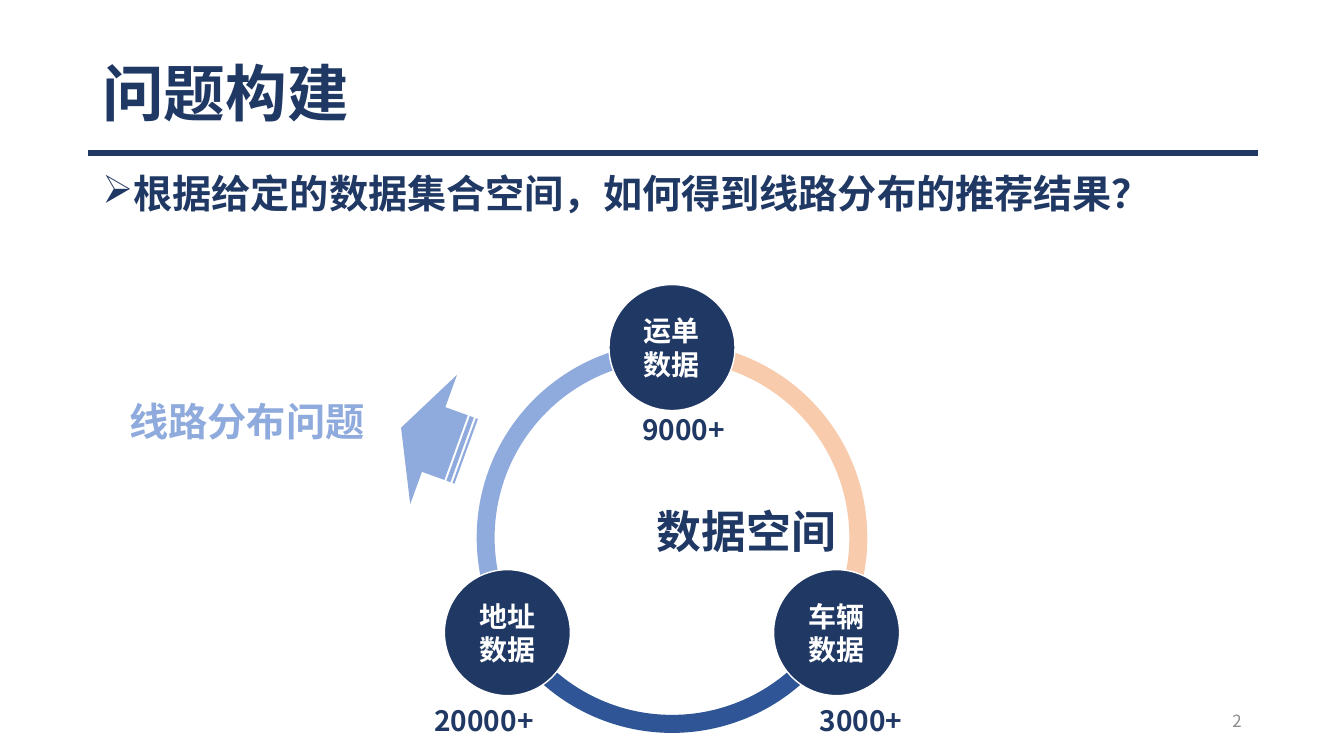
from dataclasses import dataclass
from math import cos, radians, sin

from lxml.etree import SubElement
from pptx import Presentation
from pptx.dml.color import RGBColor
from pptx.enum.shapes import MSO_CONNECTOR, MSO_SHAPE
from pptx.enum.text import MSO_ANCHOR, PP_ALIGN
from pptx.oxml.ns import qn
from pptx.util import Emu, Pt

EMU_PER_PX = 9525


def px(length):
    return Emu(round(length * EMU_PER_PX))


@dataclass(frozen=True)
class Theme:
    font: str = "Noto Sans CJK SC"
    navy: str = "203864"
    blue: str = "2F5597"
    light_blue: str = "8FAADC"
    peach: str = "F8CBAD"
    white: str = "FFFFFF"
    grey: str = "8C8C8C"
    title: int = 44
    center: int = 32
    heading: int = 28
    label: int = 20
    page: int = 12


class SlideBuilder:
    def __init__(self, slide, theme):
        self.slide = slide
        self.theme = theme

    def set_text(self, shape, text, size, color, align=PP_ALIGN.LEFT,
                 anchor=MSO_ANCHOR.TOP, bold=True, spacing=None, bullet=None):
        frame = shape.text_frame
        frame.text = text
        frame.word_wrap = True
        frame.vertical_anchor = anchor
        paragraph = frame.paragraphs[0]
        if bullet:
            properties = paragraph._p.get_or_add_pPr()
            properties.set("marL", str(px(24)))
            properties.set("indent", str(px(-24)))
            SubElement(properties, qn("a:buChar")).set("char", bullet)
        paragraph.alignment = align
        paragraph.line_spacing = spacing
        for run in paragraph.runs:
            run.font.name = self.theme.font
            run.font.size = Pt(size)
            run.font.bold = bold
            run.font.color.rgb = RGBColor.from_string(color)
            east_asian = SubElement(run._r.get_or_add_rPr(), qn("a:ea"))
            east_asian.set("typeface", self.theme.font)

    def text(self, left, top, width, height, text, size, color, **style):
        box = self.slide.shapes.add_textbox(px(left), px(top), px(width), px(height))
        self.set_text(box, text, size, color, **style)

    def shape(self, kind, left, top, width, height, fill, outline=None):
        shape = self.slide.shapes.add_shape(kind, px(left), px(top), px(width), px(height))
        shape.shadow.inherit = False
        shape.fill.solid()
        shape.fill.fore_color.rgb = RGBColor.from_string(fill)
        if outline:
            shape.line.color.rgb = RGBColor.from_string(outline)
            shape.line.width = Pt(1)
        else:
            shape.line.fill.background()
        return shape

    def rule(self, left, right, y, color, weight):
        line = self.slide.shapes.add_connector(
            MSO_CONNECTOR.STRAIGHT, px(left), px(y), px(right), px(y))
        line.line.color.rgb = RGBColor.from_string(color)
        line.line.width = Pt(weight)
        SubElement(line._element.spPr, qn("a:effectLst"))

    def arc(self, center_x, center_y, diameter, start, end, fill):
        arc = self.shape(MSO_SHAPE.BLOCK_ARC, center_x - diameter / 2,
                         center_y - diameter / 2, diameter, diameter, fill)
        arc.adjustments[0] = start * 0.6
        arc.adjustments[1] = end * 0.6
        arc.adjustments[2] = 0.046

    def node(self, center_x, center_y, diameter, text):
        node = self.shape(MSO_SHAPE.OVAL, center_x - diameter / 2,
                          center_y - diameter / 2, diameter, diameter,
                          self.theme.navy, self.theme.white)
        self.set_text(node, text, self.theme.label, self.theme.white,
                      align=PP_ALIGN.CENTER, anchor=MSO_ANCHOR.MIDDLE)

    def arrow(self, left, top, width, height, rotation, fill):
        arrow = self.shape(MSO_SHAPE.STRIPED_RIGHT_ARROW, left, top, width, height, fill)
        arrow.rotation = rotation


def main():
    presentation = Presentation()
    presentation.slide_width = px(1280)
    presentation.slide_height = px(720)
    slide = presentation.slides.add_slide(presentation.slide_layouts[6])
    theme = Theme()
    builder = SlideBuilder(slide, theme)

    builder.rule(84, 1198, 146, theme.navy, 4)
    builder.text(88, 38, 1104, 108, "问题构建", theme.title, theme.navy,
                 anchor=MSO_ANCHOR.MIDDLE, spacing=0.9)
    builder.text(88, 162, 1104, 486, "根据给定的数据集合空间，如何得到线路分布的推荐结果？",
                 theme.heading, theme.navy, spacing=0.9, bullet="➢")

    ring_x, ring_y, ring_radius = 640, 512, 181
    for start, fill in ((150, theme.light_blue), (30, theme.blue), (270, theme.peach)):
        builder.arc(ring_x, ring_y, 372, start, (start + 120) % 360, fill)
    for angle, name in ((270, "运单数据"), (30, "车辆数据"), (150, "地址数据")):
        builder.node(ring_x + ring_radius * cos(radians(angle)),
                     ring_y + ring_radius * sin(radians(angle)), 120, name)

    builder.text(609, 475, 204, 61, "数据空间", theme.center, theme.navy,
                 align=PP_ALIGN.CENTER)
    for left, top, width, count in ((542, 388, 218, "9000+"),
                                    (718, 665, 204, "3000+"),
                                    (359, 665, 204, "20000+")):
        builder.text(left, top, width, 42, count, theme.label, theme.navy,
                     align=PP_ALIGN.CENTER)

    builder.arrow(380, 353, 66, 131, 199.9, theme.light_blue)
    builder.text(114, 374, 245, 55, "线路分布问题", theme.heading, theme.light_blue)
    builder.text(904, 667, 288, 38, "2", theme.page, theme.grey, align=PP_ALIGN.RIGHT,
                 anchor=MSO_ANCHOR.MIDDLE, bold=False)

    presentation.save("out.pptx")


if __name__ == "__main__":
    main()
